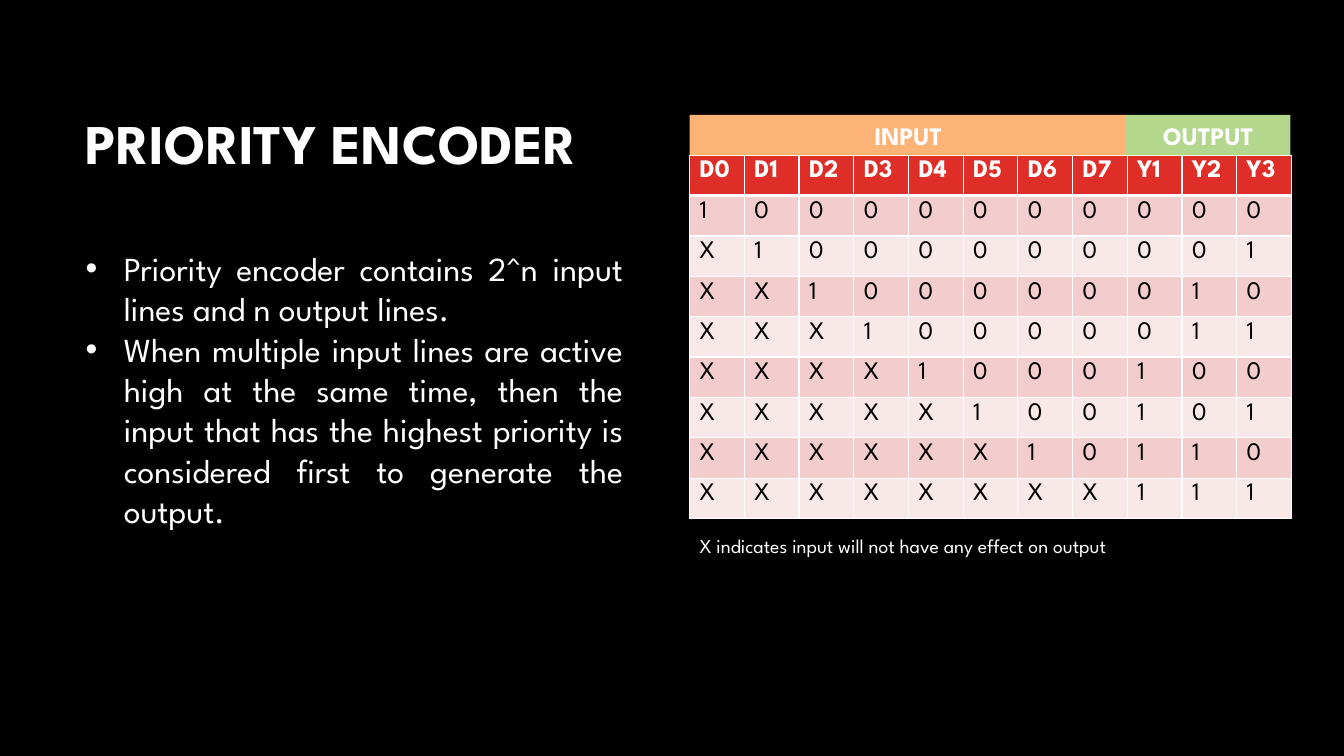
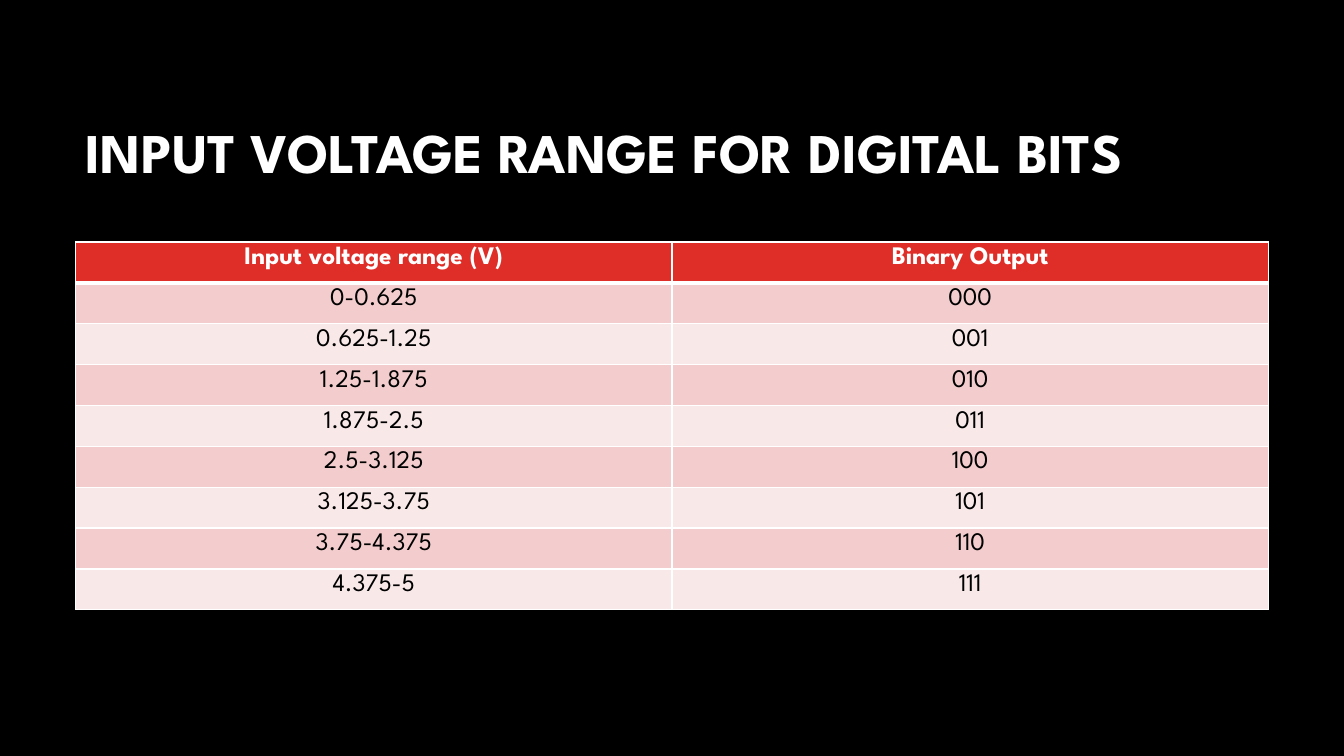
from lxml import etree
from pptx import Presentation
from pptx.dml.color import RGBColor
from pptx.enum.shapes import MSO_SHAPE
from pptx.enum.text import MSO_ANCHOR, PP_ALIGN
from pptx.oxml.ns import qn
from pptx.util import Pt

# Shared style
PX = 9144  # EMU per px, 100 px to the inch
FONT = "League Spartan"
BLACK = RGBColor(0x00, 0x00, 0x00)
WHITE = RGBColor(0xFF, 0xFF, 0xFF)
RED = RGBColor(0xDF, 0x2E, 0x28)
ROSE = RGBColor(0xF3, 0xCD, 0xCD)
BLUSH = RGBColor(0xF9, 0xE8, 0xE8)
ORANGE = RGBColor(0xFE, 0xB3, 0x76)
GREEN = RGBColor(0xB3, 0xD7, 0x8D)
LEFT, CENTER, JUSTIFY = PP_ALIGN.LEFT, PP_ALIGN.CENTER, PP_ALIGN.JUSTIFY
MIDDLE = MSO_ANCHOR.MIDDLE
RECTANGLE = MSO_SHAPE.RECTANGLE
TITLE_ONLY = 5


def emu(*lengths):
    return [length * PX for length in lengths]


class Deck:
    def __init__(self, width, height):
        self.prs = Presentation()
        self.prs.slide_width, self.prs.slide_height = emu(width, height)
        background = self.prs.slide_master.background.fill
        background.solid()
        background.fore_color.rgb = BLACK
        self.slide = None

    def style(self, paragraph, size, color=WHITE, bold=False, align=LEFT):
        paragraph.alignment = align
        for run in paragraph.runs:
            run.font.name = FONT
            run.font.size = Pt(size)
            run.font.bold = bold
            run.font.color.rgb = color

    def new_slide(self, title, *box):
        self.slide = self.prs.slides.add_slide(self.prs.slide_layouts[TITLE_ONLY])
        heading = self.slide.shapes.title
        heading.left, heading.top, heading.width, heading.height = emu(*box)
        frame = heading.text_frame
        frame.text = title
        frame.vertical_anchor = MIDDLE
        frame.paragraphs[0].line_spacing = 0.9
        self.style(frame.paragraphs[0], 40, bold=True)

    def text(self, lines, size, *box, align=LEFT, indent=0):
        frame = self.slide.shapes.add_textbox(*emu(*box)).text_frame
        frame.word_wrap = True
        frame.text = "\n".join(lines)
        for paragraph in frame.paragraphs:
            if indent:
                self.bullet(paragraph, indent)
            self.style(paragraph, size, align=align)

    def bullet(self, paragraph, indent):
        props = paragraph._p.get_or_add_pPr()
        props.set("marL", str(indent * PX))
        props.set("indent", str(-indent * PX))
        etree.SubElement(props, qn("a:buFont"), typeface="Arial")
        etree.SubElement(props, qn("a:buChar"), char="•")

    def band(self, label, color, *box):
        shape = self.slide.shapes.add_shape(RECTANGLE, *emu(*box))
        shape.shadow.inherit = False
        shape.fill.solid()
        shape.fill.fore_color.rgb = color
        shape.line.fill.background()
        shape.text_frame.text = label
        self.style(shape.text_frame.paragraphs[0], 18, bold=True, align=CENTER)

    def border(self, cell, side, points):
        line = etree.SubElement(cell._tc.get_or_add_tcPr(), qn(f"a:ln{side}"),
                                w=str(Pt(points)))
        fill = etree.SubElement(line, qn("a:solidFill"))
        etree.SubElement(fill, qn("a:srgbClr"), val=str(WHITE))

    def table(self, rows, *box, align=LEFT):
        _, _, width, height = emu(*box)
        table = self.slide.shapes.add_table(len(rows), len(rows[0]), *emu(*box)).table
        for column in table.columns:
            column.width = width // len(rows[0])
        for r, values in enumerate(rows):
            table.rows[r].height = height // len(rows)
            header = r == 0
            for c, value in enumerate(values):
                cell = table.cell(r, c)
                # A thick rule parts the header from the body
                for side in "LRTB":
                    thick = (side, r) in (("B", 0), ("T", 1))
                    self.border(cell, side, 3 if thick else 1)
                cell.fill.solid()
                cell.fill.fore_color.rgb = RED if header else (BLUSH, ROSE)[r % 2]
                cell.text_frame.text = value
                self.style(cell.text_frame.paragraphs[0], 18,
                           WHITE if header else BLACK, header, align)


def priority_encoder(deck):
    deck.new_slide("PRIORITY ENCODER", 75, 75, 942, 141)
    deck.text(
        ["Priority encoder contains 2^n input lines and n output lines.",
         "When multiple input lines are active high at the same time, then the "
         "input that has the highest priority is considered first to generate "
         "the output."],
        24, 75, 241, 553, 293, align=JUSTIFY, indent=38)

    # Truth table: the highest active input hides the ones before it
    names = [f"D{n}" for n in range(8)] + ["Y1", "Y2", "Y3"]
    inputs = ["X" * n + "1" + "0" * (7 - n) for n in range(7)] + ["X" * 8]
    states = [list(f"{bits}{n:03b}") for n, bits in enumerate(inputs)]
    deck.table([names] + states, 684, 154, 597, 360)
    deck.band("INPUT", ORANGE, 684, 114, 434, 40)
    deck.band("OUTPUT", GREEN, 1117, 114, 163, 40)
    deck.text(["X indicates input will not have any effect on output"],
              14, 684, 525, 605, 34)


def voltage_ranges(deck):
    deck.new_slide("INPUT VOLTAGE RANGE FOR DIGITAL BITS", 75, 84, 1183, 141)
    step = 0.625
    ranges = [(f"{n * step:g}-{(n + 1) * step:g}", f"{n:03b}") for n in range(8)]
    deck.table([("Input voltage range (V)", "Binary Output")] + ranges,
               75, 240, 1183, 365, align=CENTER)


def main():
    deck = Deck(1333, 750)
    priority_encoder(deck)
    voltage_ranges(deck)
    deck.prs.save("out.pptx")


if __name__ == "__main__":
    main()
